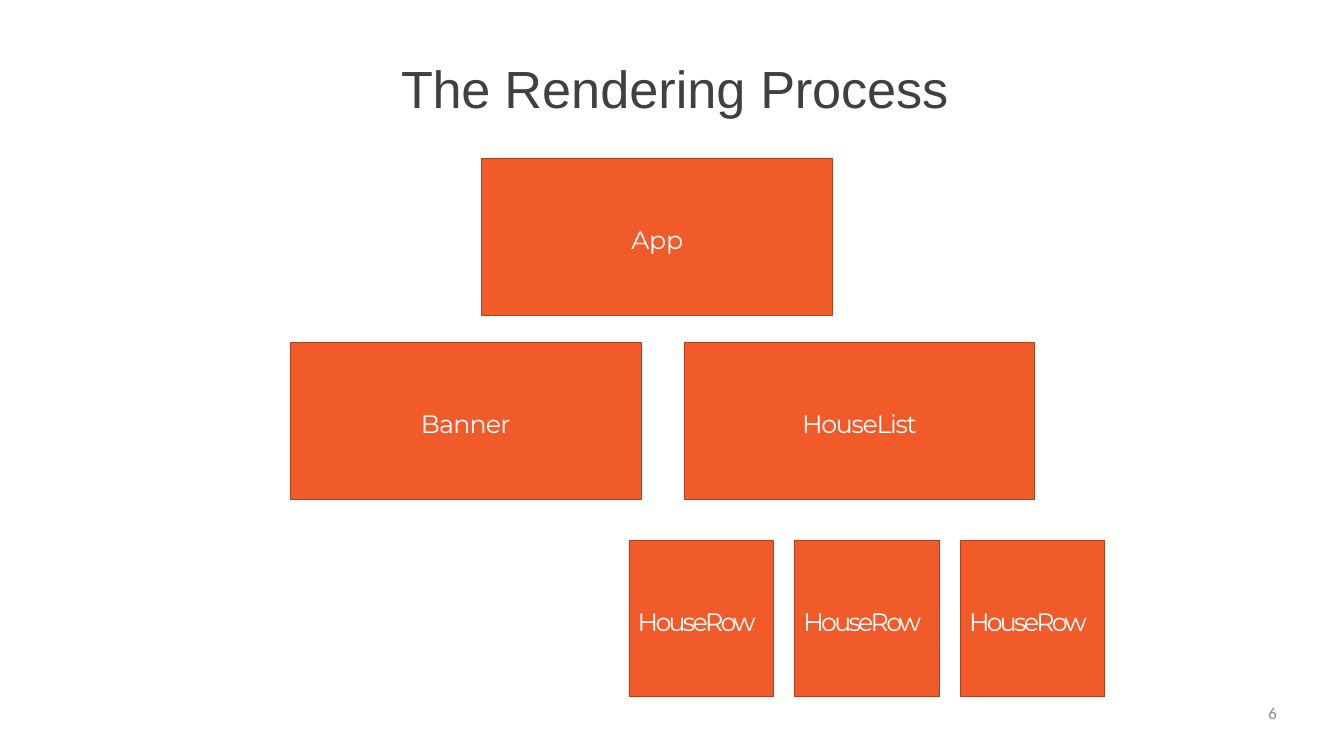
"""Build the slide that shows the component tree of the rendering process."""
from pptx import Presentation
from pptx.dml.color import RGBColor as Rgb
from pptx.enum.shapes import MSO_SHAPE as Shape
from pptx.enum.text import MSO_ANCHOR as Anchor, PP_ALIGN as Align
from pptx.util import Inches, Pt

COLORS = {"fill": "F15B2A", "edge": "B1411C", "label": "FFFFFF",
          "title": "404040", "page": "8C8C8C"}


def write(shape, *runs, size=27, font="Montserrat", color="label",
          align=Align.CENTER, anchor=Anchor.TOP, left=0, top=0):
    frame = shape.text_frame
    frame.word_wrap = True
    frame.vertical_anchor = anchor
    frame.margin_left, frame.margin_top = Inches(left), Inches(top)
    frame.margin_right = frame.margin_bottom = 0
    par = frame.paragraphs[0]
    par.alignment = align
    for text, gap in runs:
        run = par.add_run()
        run.text = text
        run.font.size = Pt(size)
        run.font.name = font
        run.font.color.rgb = Rgb.from_string(COLORS[color])
        run.font._element.set("spc", str(round(gap * 100)))


deck = Presentation()
deck.slide_width, deck.slide_height = Inches(20), Inches(11.25)
slide = deck.slides.add_slide(deck.slide_layouts[6])
shapes = slide.shapes

title = shapes.add_textbox(Inches(3.68), Inches(0.82), Inches(12.64), Inches(0.96))
write(title, ("The ", -0.5), ("Rendering ", 0), ("Process", -0.2),
      size=56, font="Arial", color="title", align=Align.LEFT, left=2.29, top=0.02)

wide, small, high = 5.22, 2.15, 2.33
boxes = [("App", 7.17, 2.36, wide, -0.2),
         ("Banner", 4.32, 5.1, wide, -0.8),
         ("HouseList", 10.18, 5.1, wide, -1.4)]
boxes += [("HouseRow", 9.36 + 2.465 * i, 8.04, small, -2.9) for i in range(3)]

for name, x, y, width, gap in boxes:
    box = shapes.add_shape(Shape.RECTANGLE, Inches(x), Inches(y), Inches(width), Inches(high))
    box.shadow.inherit = False
    box.fill.solid()
    box.fill.fore_color.rgb = Rgb.from_string(COLORS["fill"])
    box.line.color.rgb = Rgb.from_string(COLORS["edge"])
    box.line.width = Pt(1)
    row = width == small
    write(box, (name, gap), anchor=Anchor.MIDDLE, top=0.08,
          align=Align.LEFT if row else Align.CENTER, left=0.13 if row else 0)

page = shapes.add_textbox(Inches(14.4), Inches(10.46), Inches(4.6), Inches(0.56))
write(page, ("6", 0), size=18, font="Calibri", color="page", align=Align.RIGHT)

deck.save("out.pptx")
